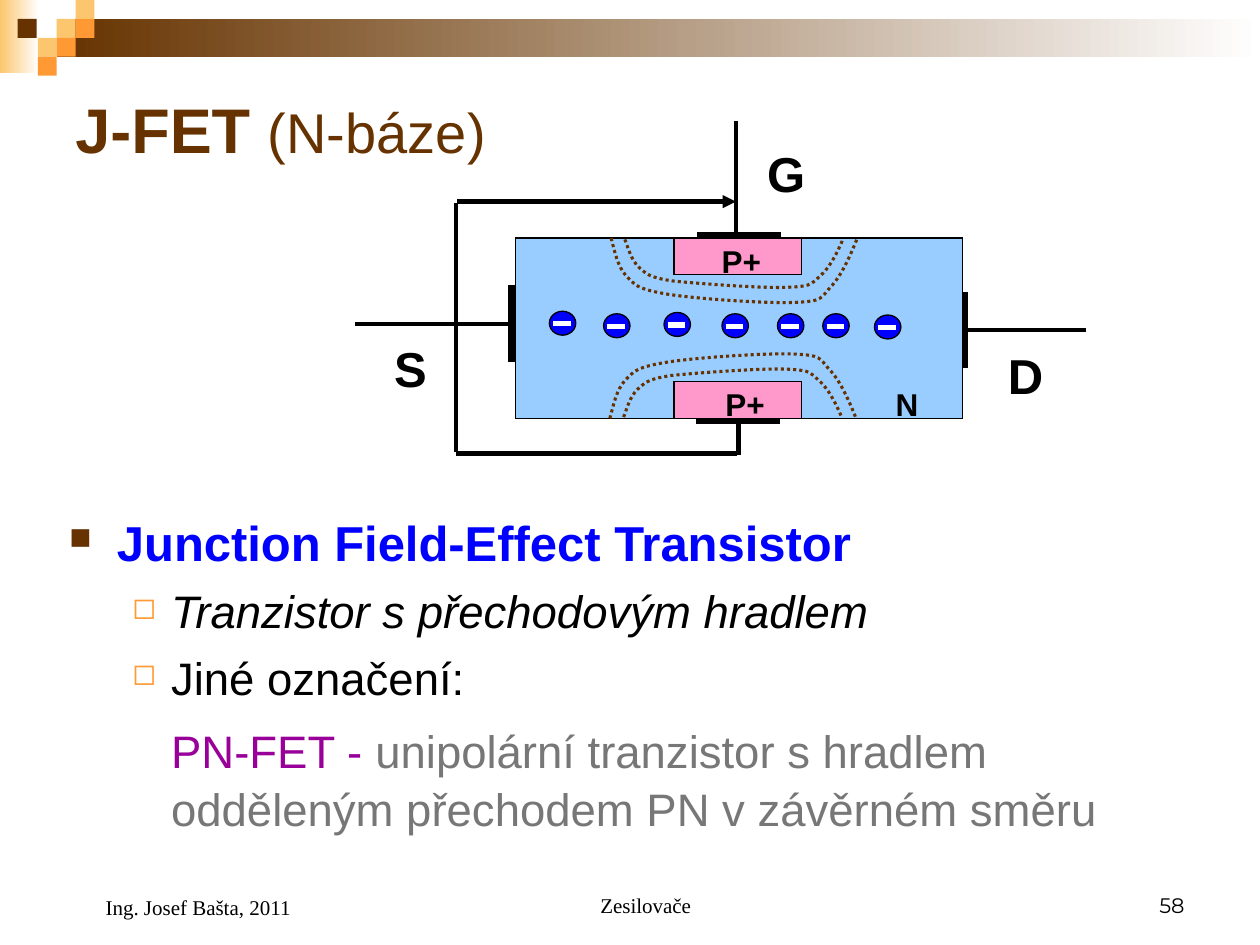
from typing import NamedTuple, Optional

from lxml.etree import SubElement
from pptx import Presentation
from pptx.dml.color import RGBColor
from pptx.enum.dml import MSO_LINE_DASH_STYLE as Dash
from pptx.enum.shapes import MSO_CONNECTOR as Connector, MSO_SHAPE as Shape
from pptx.enum.text import MSO_ANCHOR as Anchor, PP_ALIGN as Align
from pptx.oxml.ns import qn
from pptx.util import Inches, Pt

BROWN, ORANGE, SAND = "663300", "FF9933", "FCC66E"
BLACK, WHITE, BLUE = "000000", "FFFFFF", "0000FF"


class Box(NamedTuple):
    left: float
    top: float
    width: float
    height: float


class Run(NamedTuple):
    text: str
    size: float
    color: str = BLACK
    bold: bool = False
    italic: bool = False
    font: str = "Arial"


class Bullet(NamedTuple):
    char: str
    color: str
    percent: int


class Para(NamedTuple):
    runs: list[Run]
    margin: float = 0
    hanging: float = 0
    level: int = 0
    before: float = 0
    bullet: Optional[Bullet] = None
    align: Align = Align.LEFT


class Wire(NamedTuple):
    start: tuple[float, float]
    end: tuple[float, float]


def rgb(code: str) -> RGBColor:
    return RGBColor.from_string(code)


def add_solid(box: Box, color: str, outlined: bool = False, kind: Shape = Shape.RECTANGLE):
    solid = slide.shapes.add_shape(kind, *map(Inches, box))
    solid.shadow.inherit = False
    solid.fill.solid()
    solid.fill.fore_color.rgb = rgb(color)
    if outlined:
        solid.line.color.rgb = rgb(BLACK)
        solid.line.width = Pt(0.75)
        SubElement(solid.line._get_or_add_ln(), qn("a:miter"), lim="800000")
    else:
        solid.line.fill.background()
    return solid


def add_fade(box: Box, color: str) -> None:
    fill = add_solid(box, color).fill
    fill.gradient()
    fill.gradient_angle = 0
    for stop, shade in zip(fill.gradient_stops, (color, WHITE)):
        stop.color.rgb = rgb(shade)


def add_wire(wire: Wire, color: str = BLACK, width: float = 2.5, arrow: bool = False):
    ends = [Inches(value) for value in wire.start + wire.end]
    line = slide.shapes.add_connector(Connector.STRAIGHT, *ends)
    line.line.color.rgb = rgb(color)
    line.line.width = Pt(width)
    if arrow:
        SubElement(line.line._get_or_add_ln(), qn("a:tailEnd"), type="triangle")
    SubElement(line._element.spPr, qn("a:effectLst"))
    return line


def add_text(box: Box, paras: list[Para], anchor: Anchor = Anchor.TOP) -> None:
    frame = slide.shapes.add_textbox(*map(Inches, box)).text_frame
    frame.word_wrap = True
    frame.vertical_anchor = anchor
    for number, para in enumerate(paras):
        paragraph = frame.add_paragraph() if number else frame.paragraphs[0]
        props = paragraph._p.get_or_add_pPr()
        props.set("marL", str(Inches(para.margin)))
        props.set("indent", str(Inches(-para.hanging)))
        if para.bullet:
            tint = SubElement(props, qn("a:buClr"))
            SubElement(tint, qn("a:srgbClr"), val=para.bullet.color)
            SubElement(props, qn("a:buSzPct"), val=str(para.bullet.percent * 1000))
            SubElement(props, qn("a:buChar"), char=para.bullet.char)
        else:
            SubElement(props, qn("a:buNone"))
        paragraph.level = para.level
        paragraph.alignment = para.align
        paragraph.space_before = Pt(para.before)
        for part in para.runs:
            for index, piece in enumerate(part.text.split("\n")):
                if index:
                    paragraph.add_line_break()
                run = paragraph.add_run()
                run.text = piece
                run.font.name = part.font
                run.font.size = Pt(part.size)
                run.font.bold = part.bold
                run.font.italic = part.italic
                run.font.color.rgb = rgb(part.color)


def add_label(text: str, left: float, top: float, size: float) -> None:
    box = Box(left, top, 0.7, size / 50)
    add_text(box, [Para([Run(text, size, bold=True)])])


def add_depletion_edge(points: list[tuple[float, float]]) -> None:
    start, *rest = [(Inches(x), Inches(y)) for x, y in points]
    builder = slide.shapes.build_freeform(*start)
    builder.add_line_segments(rest, close=False)
    edge = builder.convert_to_shape()
    segments = list(edge._element.iter(qn("a:lnTo")))
    outline = segments[0].getparent()
    for first in range(0, len(segments), 3):
        curve = SubElement(outline, qn("a:cubicBezTo"))
        for segment in segments[first:first + 3]:
            curve.append(segment[0])
            outline.remove(segment)
    edge.shadow.inherit = False
    edge.fill.background()
    edge.line.color.rgb = rgb(BROWN)
    edge.line.width = Pt(1.75)
    edge.line.dash_style = Dash.ROUND_DOT


deck = Presentation()
deck.slide_width, deck.slide_height = Inches(10), Inches(7.5)
slide = deck.slides.add_slide(deck.slide_layouts[6])

add_fade(Box(0, 0, 0.31, 0.58), SAND)
add_fade(Box(0.45, 0.15, 9.55, 0.3), BROWN)
for left, top, color in [
    (0.45, 0.15, SAND), (0.6, 0, SAND), (0.6, 0.15, ORANGE), (0.3, 0.3, SAND),
    (0.14, 0.15, BROWN), (0.45, 0.3, ORANGE), (0.3, 0.45, ORANGE),
]:
    add_solid(Box(left, top, 0.15, 0.15), color)

add_text(Box(0.5, 0.5, 9, 1.03), [
    Para([Run("J-FET ", 36, BROWN, bold=True), Run("(N-báze)", 32, BROWN)]),
], Anchor.MIDDLE)

hollow = Bullet("◻", ORANGE, 65)
add_text(Box(0.45, 4.02, 9.17, 2.66), [
    Para([Run("Junction Field-Effect Transistor", 28, BLUE, bold=True)],
         0.38, 0.38, bullet=Bullet("■", BROWN, 62)),
    Para([Run("Tranzistor s přechodovým hradlem", 26, italic=True)], 0.81, 0.31, 1, 6.5, hollow),
    Para([Run("Jiné označení:", 26)], 0.81, 0.31, 1, 7, hollow),
    Para([Run("PN-FET - ", 26, "990099"),
          Run("unipolární tranzistor s hradlem\nodděleným přechodem PN v závěrném směru", 26, "777777"),
          Run(" ", 28)],
         0.81, 0, 1, 10.5),
])

add_solid(Box(4.09, 1.89, 3.55, 1.43), "99CCFF", outlined=True)
for gate_top in (3.03, 1.89):
    add_solid(Box(5.35, gate_top, 1.01, 0.29), "FF99CC", outlined=True)

gate_contact, back_contact, source_contact, drain_contact = [
    add_solid(box, BLACK, outlined=True) for box in (
        Box(5.54, 1.85, 0.65, 0.04), Box(5.53, 3.32, 0.66, 0.04),
        Box(4.04, 2.27, 0.04, 0.6), Box(7.64, 2.32, 0.04, 0.6),
    )
]
for wire, contact, side in [
    (Wire((2.82, 2.57), (4.04, 2.57)), source_contact, 1),
    (Wire((8.62, 2.62), (7.64, 2.62)), drain_contact, 1),
    (Wire((5.86, 3.61), (5.86, 3.36)), back_contact, 2),
]:
    add_wire(wire).end_connect(contact, side)
add_wire(Wire((5.84, 0.96), (5.84, 1.87)))
add_wire(Wire((5.85, 3.6), (3.62, 3.6)))
add_wire(Wire((3.62, 1.61), (3.62, 3.59)))
add_wire(Wire((3.63, 1.6), (5.84, 1.6)), arrow=True)

for text, left, top, size in [
    ("N", 7.01, 3.01, 18), ("P+", 5.66, 3.01, 18), ("P+", 5.63, 1.87, 18),
    ("S", 3.03, 2.64, 28), ("G", 5.99, 1.09, 28), ("D", 7.9, 2.69, 28),
]:
    add_label(text, left, top, size)

for left, top in [
    (4.36, 2.47), (4.79, 2.49), (5.27, 2.48), (5.73, 2.49),
    (6.17, 2.49), (6.53, 2.49), (6.94, 2.5),
]:
    add_solid(Box(left, top, 0.21, 0.19), BLUE, outlined=True, kind=Shape.OVAL)
    minus_y = top + 0.1
    add_wire(Wire((left + 0.03, minus_y), (left + 0.17, minus_y)), WHITE, 3)

inner_edge = [
    (4.96, 1.9), (4.99, 1.98), (5.01, 2.06), (5.07, 2.12), (5.13, 2.17), (5.14, 2.2),
    (5.34, 2.23), (5.53, 2.25), (6.07, 2.29), (6.26, 2.28), (6.46, 2.27), (6.44, 2.25),
    (6.51, 2.19), (6.58, 2.13), (6.64, 2.02), (6.69, 1.9),
]
outer_edge = [
    (4.85, 1.89), (4.88, 2), (4.9, 2.11), (4.97, 2.19), (5.04, 2.26), (5.05, 2.29),
    (5.27, 2.33), (5.49, 2.37), (6.09, 2.41), (6.31, 2.4), (6.53, 2.39), (6.51, 2.37),
    (6.59, 2.28), (6.67, 2.2), (6.74, 2.05), (6.8, 1.9),
]
for upper_edge in (inner_edge, outer_edge):
    add_depletion_edge(upper_edge)
    add_depletion_edge([(x - 0.01, 5.21 - y) for x, y in upper_edge])

serif = "Times New Roman"
for box, para in [
    (Box(3.42, 6.83, 3.17, 0.5), Para([Run("Zesilovače", 12, font=serif)], 0.24, align=Align.CENTER)),
    (Box(7.17, 6.83, 2.33, 0.5), Para([Run("58", 12, font="Montserrat")], align=Align.RIGHT)),
    (Box(0.5, 6.83, 2.33, 0.52), Para([Run("Ing. Josef Bašta, 2011", 12, font=serif)], 0.24)),
]:
    add_text(box, [para], Anchor.BOTTOM)

deck.save("out.pptx")
